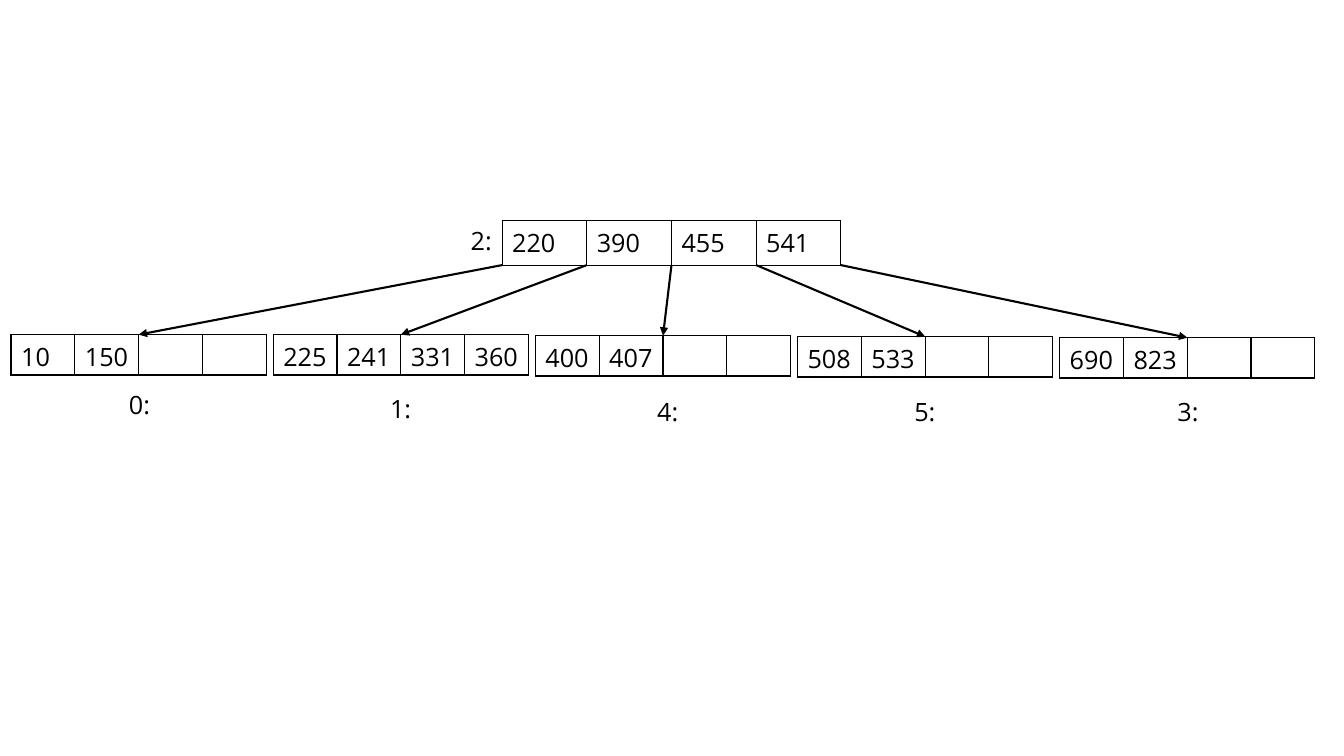
from dataclasses import dataclass

from lxml import etree
from pptx import Presentation
from pptx.dml.color import RGBColor
from pptx.enum import shapes, text
from pptx.oxml import ns
from pptx.util import Inches, Pt


@dataclass(frozen=True)
class Theme:
    font: str = "Open Sans"
    size: int = 18
    ink: str = "000000"
    border: float = 1
    arrow: float = 1.5


THEME = Theme()
INK = RGBColor.from_string(THEME.ink)

ROOT = ("2:", ["220", "390", "455", "541"])
# label, keys, node top, label left, label top
LEAVES = [
    ("0:", ["10", "150", "", ""], 3.32, 1.18, 3.81),
    ("1:", ["225", "241", "331", "360"], 3.32, 3.77, 3.85),
    ("4:", ["400", "407", "", ""], 3.33, 6.42, 3.88),
    ("5:", ["508", "533", "", ""], 3.34, 8.97, 3.88),
    ("3:", ["690", "823", "", ""], 3.35, 11.58, 3.88),
]

ROOT_X, ROOT_Y, ROOT_CELL, ROOT_H = 4.98, 2.19, 0.84, 0.44
LEAF_X, LEAF_PITCH, LEAF_CELL, LEAF_H = 0.11, 2.6, 0.633, 0.4
LABEL_W, LABEL_H = 0.41, 0.4


def style(p):
    p.font.name, p.font.size = THEME.font, Pt(THEME.size)
    p.font.color.rgb = INK


def border(cell):
    """Draw all four sides; the lines must precede the cell's fill."""
    tc_pr = cell._tc.get_or_add_tcPr()
    for i, side in enumerate(("lnL", "lnR", "lnT", "lnB")):
        ln = etree.Element(ns.qn(f"a:{side}"), w=str(Pt(THEME.border)))
        fill = etree.SubElement(ln, ns.qn("a:solidFill"))
        etree.SubElement(fill, ns.qn("a:srgbClr"), val=THEME.ink)
        tc_pr.insert(i, ln)


def add_node(s, keys, x, y, cell_w, h):
    frame = s.shapes.add_table(1, len(keys), Inches(x), Inches(y),
                               Inches(cell_w * len(keys)), Inches(h))
    table = frame.table
    table.first_row = table.horz_banding = False
    for column, cell, key in zip(table.columns, table.rows[0].cells, keys):
        column.width = Inches(cell_w)
        cell.text = key
        cell.fill.background()
        border(cell)
        style(cell.text_frame.paragraphs[0])


def add_label(s, label, x, y):
    box = s.shapes.add_textbox(Inches(x), Inches(y), Inches(LABEL_W), Inches(LABEL_H))
    tf = box.text_frame
    tf.word_wrap = False
    tf.auto_size = text.MSO_AUTO_SIZE.SHAPE_TO_FIT_TEXT
    tf.text = label
    style(tf.paragraphs[0])


def add_arrow(s, x1, y1, x2, y2):
    arrow = s.shapes.add_connector(shapes.MSO_CONNECTOR.STRAIGHT, Inches(x1),
                                   Inches(y1), Inches(x2), Inches(y2))
    arrow.line.color.rgb = INK
    arrow.line.width = Pt(THEME.arrow)
    etree.SubElement(arrow.line._get_or_add_ln(), ns.qn("a:tailEnd"), type="triangle")
    etree.SubElement(arrow._element.spPr, ns.qn("a:effectLst"))


def main():
    prs = Presentation()
    prs.slide_width, prs.slide_height = Inches(13.33), Inches(7.5)
    s = prs.slides.add_slide(prs.slide_layouts[6])

    label, keys = ROOT
    add_node(s, keys, ROOT_X, ROOT_Y, ROOT_CELL, ROOT_H)
    add_label(s, label, ROOT_X - LABEL_W, ROOT_Y)

    for i, (label, keys, top, label_x, label_y) in enumerate(LEAVES):
        left = LEAF_X + i * LEAF_PITCH
        middle = left + LEAF_CELL * len(keys) / 2
        add_arrow(s, ROOT_X + i * ROOT_CELL, ROOT_Y + ROOT_H, middle, top)
        add_node(s, keys, left, top, LEAF_CELL, LEAF_H)
        add_label(s, label, label_x, label_y)

    prs.save("out.pptx")


if __name__ == "__main__":
    main()
